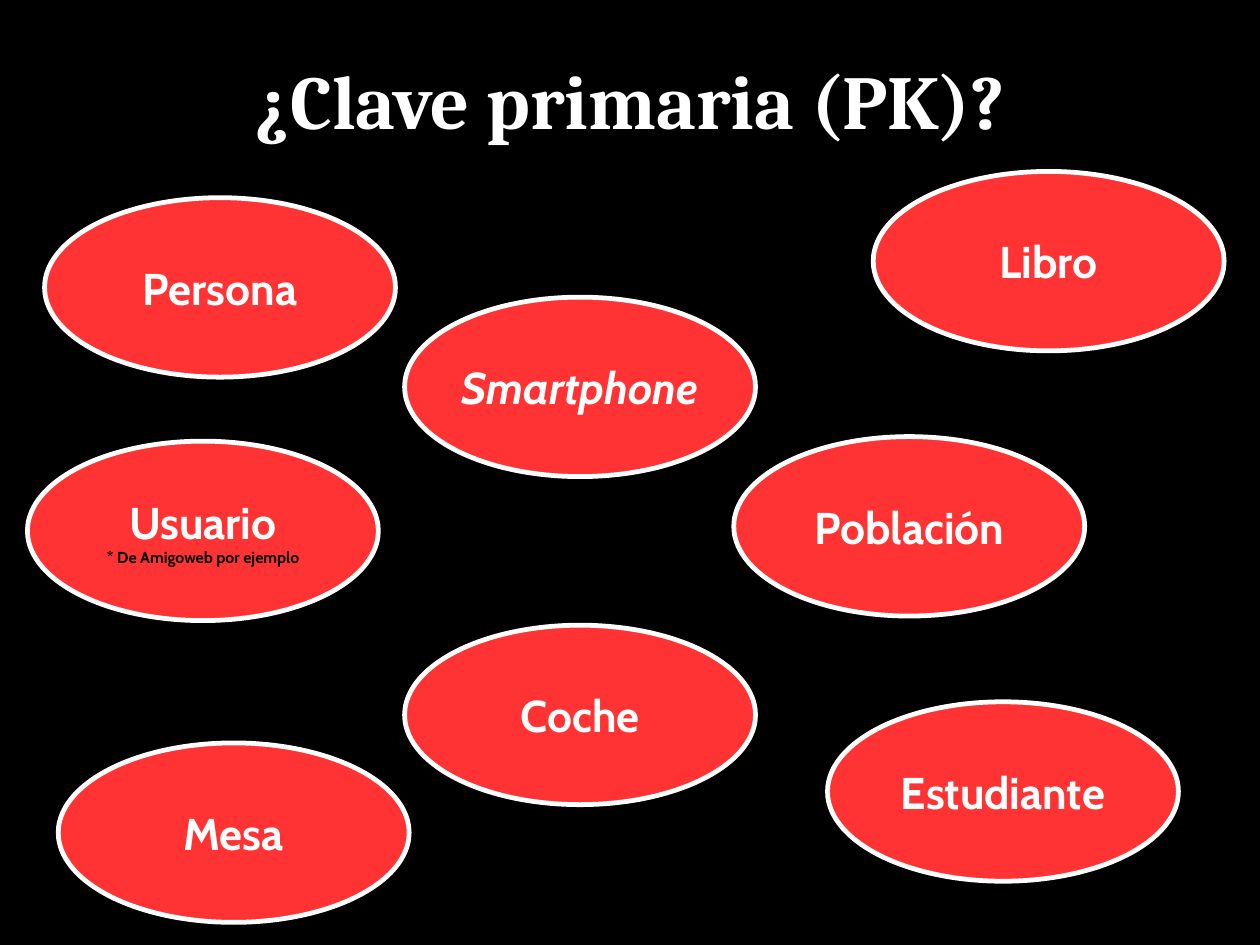
from pptx import Presentation
from pptx import util as u
from pptx.dml.color import RGBColor
from pptx.enum import shapes, text

WHITE, RED, BLACK = "FFFFFF", "FF3333", "000000"
WIDTH, HEIGHT = 3.07, 1.57
NODES = [
    ("Persona", 0.39, 1.73),
    ("Estudiante", 7.24, 6.14),
    ("Coche", 3.54, 5.47),
    ("Libro", 7.64, 1.5),
    ("Población", 6.42, 3.82),
    ("Smartphone", 3.54, 2.6),
    ("Usuario\n* De Amigoweb por ejemplo", 0.24, 3.86),
    ("Mesa", 0.51, 6.5),
]


def paint(target, shade):
    """Give a fill a solid colour."""
    target.solid()
    target.fore_color.rgb = RGBColor.from_string(shade)


def style(para, font, size, shade, slant=None):
    """Centre a paragraph and format its runs in bold."""
    para.alignment = text.PP_ALIGN.CENTER
    for run in para.runs:
        run.font.name = font
        run.font.size = u.Pt(size)
        run.font.bold = True
        run.font.italic = slant
        paint(run.font.fill, shade)


def inset(frame, side, edge):
    """Set the margins of a text frame and anchor it in the middle."""
    frame.margin_left = frame.margin_right = u.Inches(side)
    frame.margin_top = frame.margin_bottom = u.Inches(edge)
    frame.vertical_anchor = text.MSO_ANCHOR.MIDDLE


def head(slide, words, left, top, width, height):
    """Place the title in its box."""
    title = slide.shapes.title
    title.left, title.top = u.Inches(left), u.Inches(top)
    title.width, title.height = u.Inches(width), u.Inches(height)
    frame = title.text_frame
    frame.text = words
    frame.auto_size = text.MSO_AUTO_SIZE.NONE
    inset(frame, 0, 0)
    style(frame.paragraphs[0], "Cambria", 48, WHITE)


def node(slide, words, left, top, width, height):
    """Draw one entity as an ellipse with a name and an optional note."""
    oval = slide.shapes.add_shape(
        shapes.MSO_SHAPE.OVAL,
        u.Inches(left), u.Inches(top), u.Inches(width), u.Inches(height))
    oval.shadow.inherit = False
    paint(oval.fill, RED)
    paint(oval.line.fill, WHITE)
    oval.line.width = u.Pt(3)
    frame = oval.text_frame
    frame.text = words
    frame.word_wrap = False
    inset(frame, 0.12, 0.07)
    name, *notes = frame.paragraphs
    style(name, "Cabin", 28, WHITE, words == "Smartphone")
    for note in notes:
        style(note, "Cabin", 10, BLACK)


def main():
    """Build the slide and save it."""
    deck = Presentation()
    deck.slide_width, deck.slide_height = u.Inches(28 / 2.54), u.Inches(21 / 2.54)
    slide = deck.slides.add_slide(deck.slide_layouts[5])
    paint(slide.background.fill, BLACK)
    head(slide, "¿Clave primaria (PK)?", 0.16, 0.08, 10.71, 1.57)
    for words, left, top in NODES:
        node(slide, words, left, top, WIDTH, HEIGHT)
    deck.save("out.pptx")


if __name__ == "__main__":
    main()
